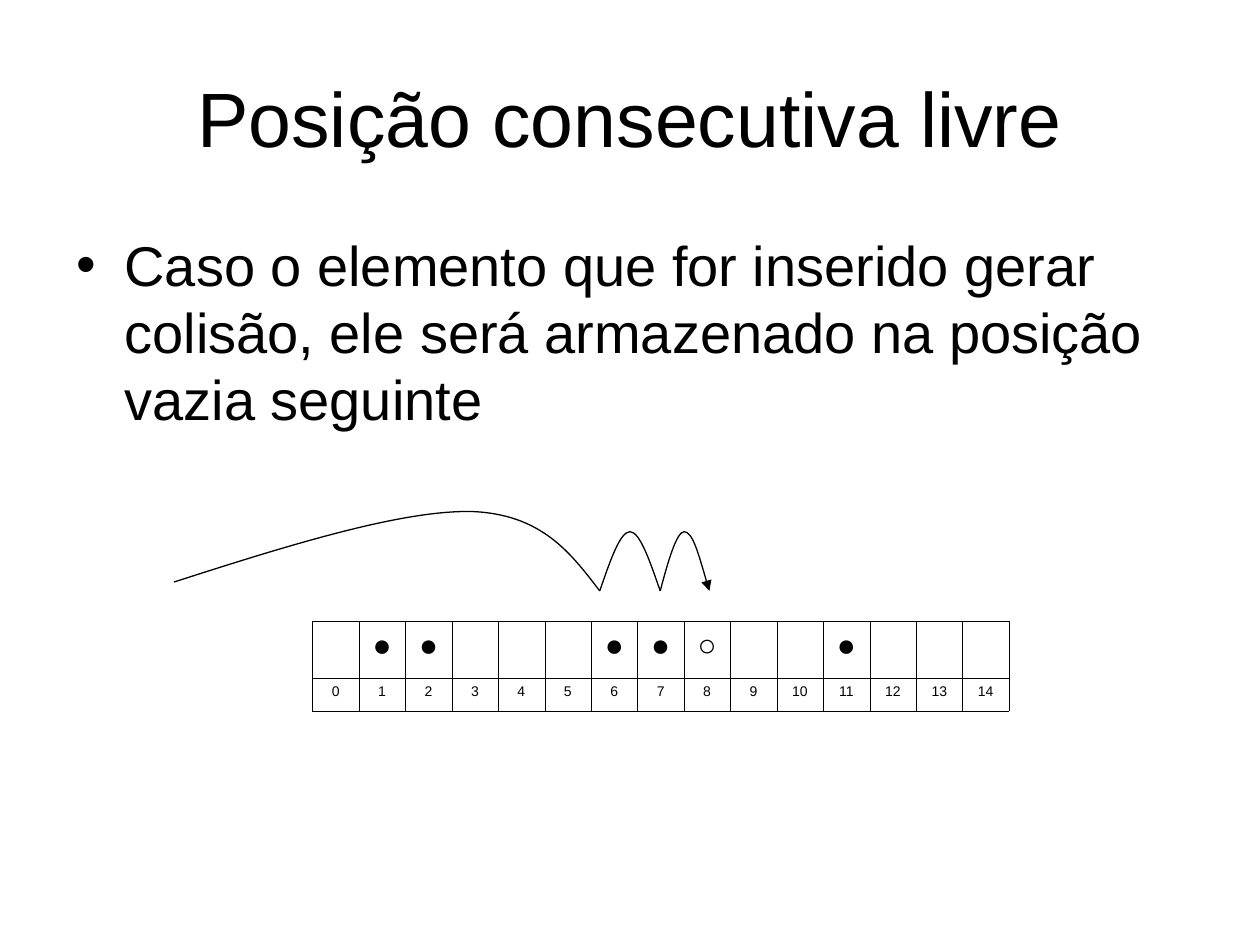
from lxml import etree
from pptx import Presentation
from pptx.dml.color import RGBColor
from pptx.enum.text import MSO_ANCHOR, PP_ALIGN
from pptx.oxml.ns import qn
from pptx.util import Inches, Pt

CENTER, LEFT = PP_ALIGN.CENTER, PP_ALIGN.LEFT
MIDDLE, TOP = MSO_ANCHOR.MIDDLE, MSO_ANCHOR.TOP
COLORS = {"ink": "000000", "paper": "FFFFFF"}
FONT = "Arial"
SLOTS = 15
MARKS = {1: "●", 2: "●", 6: "●", 7: "●", 8: "○", 11: "●"}
JUMPS = [
    [(1.38, 4.62), (2.28, 4.33), (3.18, 4.05), (3.74, 4.06),
     (4.3, 4.08), (4.53, 4.39), (4.76, 4.69)],
    [(4.76, 4.69), (4.84, 4.46), (4.92, 4.22), (5, 4.22),
     (5.08, 4.22), (5.16, 4.46), (5.24, 4.69)],
    [(5.24, 4.69), (5.3, 4.46), (5.37, 4.22), (5.43, 4.22),
     (5.5, 4.22), (5.56, 4.46), (5.63, 4.69)],
]


def rgb(name):
    """Return the named colour."""
    return RGBColor.from_string(COLORS[name])


def write(tf, text, size, align=LEFT, before=0):
    """Write one formatted paragraph into a text frame and return it."""
    p = tf.paragraphs[0]
    p.alignment = align
    p.space_before = Pt(before)
    r = p.add_run()
    r.text = text
    r.font.size = Pt(size)
    r.font.name = FONT
    r.font.color.rgb = rgb("ink")
    return p


def add_title(s, box, text):
    """Place and format the title placeholder."""
    sp = s.shapes.title
    sp.left, sp.top, sp.width, sp.height = map(Inches, box)
    sp.text_frame.word_wrap = True
    sp.text_frame.vertical_anchor = MIDDLE
    write(sp.text_frame, text, 44, align=CENTER)


def add_body(s, box, text):
    """Add the bulleted explanation."""
    tf = s.shapes.add_textbox(*map(Inches, box)).text_frame
    tf.word_wrap = True
    tf.vertical_anchor = TOP
    pPr = write(tf, text, 32, before=8)._p.get_or_add_pPr()
    pPr.set("marL", str(Inches(0.38)))
    pPr.set("indent", str(-Inches(0.38)))
    etree.SubElement(pPr, qn("a:buFont"), typeface=FONT)
    etree.SubElement(pPr, qn("a:buChar"), char="•")


def format_cell(cell):
    """Give a cell thin borders, narrow margins and no fill."""
    tcPr = cell._tc.get_or_add_tcPr()
    for side in ("lnL", "lnR", "lnT", "lnB"):
        ln = etree.SubElement(tcPr, qn(f"a:{side}"), w=str(Pt(0.06)))
        fill = etree.SubElement(ln, qn("a:solidFill"))
        etree.SubElement(fill, qn("a:srgbClr"), val=COLORS["ink"])
    cell.fill.background()
    cell.margin_left = cell.margin_right = Inches(0.04)
    cell.margin_top = cell.margin_bottom = Inches(0.05)


def add_slots(s, box):
    """Add the hash table with its marks above the slot numbers."""
    table = s.shapes.add_table(2, SLOTS, *map(Inches, box)).table
    table.first_row = table.horz_banding = False
    for row, height in zip(table.rows, (0.45, 0.26)):
        row.height = Inches(height)
    for i, column in enumerate(table.columns):
        column.width = Inches(box[2] / SLOTS)
        mark, number = table.cell(0, i), table.cell(1, i)
        format_cell(mark)
        format_cell(number)
        if i in MARKS:
            write(mark.text_frame, MARKS[i], 18, align=CENTER, before=4.5)
        write(number.text_frame, str(i), 8, align=CENTER, before=2)


def bend(sp):
    """Turn each three line segments of a freeform into one cubic curve."""
    segments = list(sp._element.iter(qn("a:lnTo")))
    for i in range(0, len(segments), 3):
        curve = etree.SubElement(segments[i].getparent(), qn("a:cubicBezTo"))
        for segment in segments[i:i + 3]:
            curve.append(segment[0])
            segment.getparent().remove(segment)


def add_jump(s, points, arrow=False):
    """Draw one jump, with an arrowhead if it is the last."""
    start, *rest = [tuple(map(Inches, point)) for point in points]
    builder = s.shapes.build_freeform(*start)
    builder.add_line_segments(rest, close=False)
    sp = builder.convert_to_shape()
    bend(sp)
    sp.shadow.inherit = False
    sp.fill.background()
    sp.line.color.rgb = rgb("ink")
    sp.line.width = Pt(0.75)
    if arrow:
        ln = sp._element.spPr.find(qn("a:ln"))
        etree.SubElement(ln, qn("a:tailEnd"), type="triangle")


def main():
    """Build and save the slide."""
    prs = Presentation()
    prs.slide_width, prs.slide_height = Inches(10), Inches(7.5)
    s = prs.slides.add_slide(prs.slide_layouts[5])
    s.background.fill.solid()
    s.background.fill.fore_color.rgb = rgb("paper")
    add_title(s, (0.5, 0.3, 9, 1.25), "Posição consecutiva livre")
    add_body(s, (0.51, 1.78, 9, 4.95),
             "Caso o elemento que for inserido gerar colisão, "
             "ele será armazenado na posição vazia seguinte")
    add_slots(s, (2.48, 4.93, 5.53, 0.71))
    for points in JUMPS:
        add_jump(s, points, arrow=points is JUMPS[-1])
    prs.save("out.pptx")


if __name__ == "__main__":
    main()
